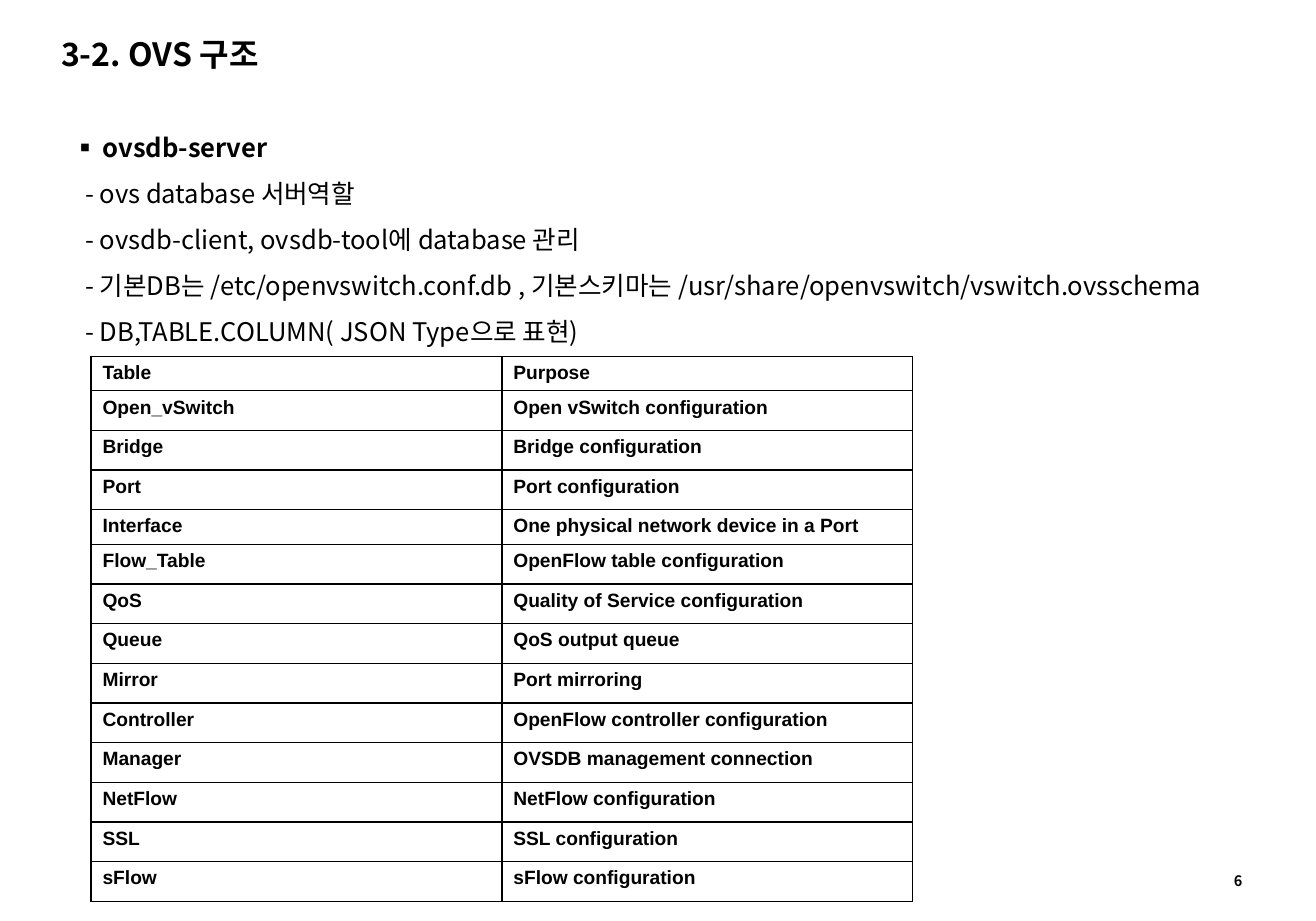
from lxml import etree
from pptx import Presentation
from pptx.dml.color import RGBColor
from pptx.enum.text import MSO_ANCHOR, MSO_AUTO_SIZE, PP_ALIGN
from pptx.oxml.ns import qn
from pptx.util import Inches, Pt

TOP, MIDDLE = MSO_ANCHOR.TOP, MSO_ANCHOR.MIDDLE
LEFT = PP_ALIGN.LEFT
NO_AUTOFIT = MSO_AUTO_SIZE.NONE

COLORS = {"ink": "000000", "paper": "FFFFFF"}
KOREAN, LATIN = "Noto Sans CJK KR", "Arial"

TITLE = "3-2. OVS 구조"
HEADING = "ovsdb-server"
DETAILS = [
    "- ovs database 서버역할",
    "- ovsdb-client, ovsdb-tool에 database 관리",
    "- 기본DB는 /etc/openvswitch.conf.db , 기본스키마는 "
    "/usr/share/openvswitch/vswitch.ovsschema",
    "- DB,TABLE.COLUMN( JSON Type으로 표현)",
]
TABLE_ROWS = [
    ("Table", "Purpose"),
    ("Open_vSwitch", "Open vSwitch configuration"),
    ("Bridge", "Bridge configuration"),
    ("Port", "Port configuration"),
    ("Interface", "One physical network device in a Port"),
    ("Flow_Table", "OpenFlow table configuration"),
    ("QoS", "Quality of Service configuration"),
    ("Queue", "QoS output queue"),
    ("Mirror", "Port mirroring"),
    ("Controller", "OpenFlow controller configuration"),
    ("Manager", "OVSDB management connection"),
    ("NetFlow", "NetFlow configuration"),
    ("SSL", "SSL configuration"),
    ("sFlow", "sFlow configuration"),
]
SHORT_ROWS = {"Table", "Interface"}
TABLE_HEIGHT, SHORT_HEIGHT = 4.73, 0.3


def color(name):
    return RGBColor.from_string(COLORS[name])


def place(shape, left, top, width, height):
    edges = {"left": left, "top": top, "width": width, "height": height}
    for name, value in edges.items():
        setattr(shape, name, Inches(value))


def format_frame(frame, anchor=TOP, **margins):
    values = {"word_wrap": True, "auto_size": NO_AUTOFIT,
              "vertical_anchor": anchor}
    values.update({name: Inches(size) for name, size in margins.items()})
    for name, value in values.items():
        setattr(frame, name, value)


def write(para, text, size, bold=False, face=KOREAN):
    """Add one formatted span, with the same face for Korean text."""
    span = para.add_run()
    span.text = text
    for name, value in {"size": Pt(size), "bold": bold, "name": face}.items():
        setattr(span.font, name, value)
    span.font.color.rgb = color("ink")
    east_asian = etree.SubElement(span.font._element, qn("a:ea"))
    east_asian.set("typeface", face)
    para.alignment = LEFT


def set_bullet(para, symbol=None, left=0.0, indent=0.0):
    properties = para._p.get_or_add_pPr()
    properties.set("marL", str(Inches(left)))
    properties.set("indent", str(Inches(indent)))
    if symbol is None:
        etree.SubElement(properties, qn("a:buNone"))
        return
    etree.SubElement(properties, qn("a:buSzPct")).set("val", "120000")
    etree.SubElement(properties, qn("a:buFont")).set("typeface", LATIN)
    etree.SubElement(properties, qn("a:buChar")).set("char", symbol)


def add_title(page):
    title = page.shapes.title
    place(title, 0.43, 0.27, 5.79, 0.39)
    format_frame(title.text_frame, MIDDLE, margin_top=0, margin_bottom=0)
    write(title.text_frame.paragraphs[0], TITLE, 20, bold=True)


def add_body(page):
    body = page.placeholders[1]
    place(body, 0.59, 0.96, 10.32, 2.12)
    frame = body.text_frame
    format_frame(frame, margin_right=0)
    for index, text in enumerate([HEADING] + DETAILS):
        is_heading = index == 0
        para = frame.paragraphs[0] if is_heading else frame.add_paragraph()
        if is_heading:
            set_bullet(para, "▪", 0.2, -0.2)
        else:
            set_bullet(para, left=0.05)
        para.line_spacing = Pt(28.75)
        para.space_before = Pt(0)
        write(para, text, 16, bold=is_heading)


def add_borders(cell):
    properties = cell._tc.get_or_add_tcPr()
    for side in ("lnL", "lnR", "lnT", "lnB"):
        line = etree.SubElement(properties, qn("a:" + side))
        line.set("w", str(Pt(1)))
        fill = etree.SubElement(line, qn("a:solidFill"))
        etree.SubElement(fill, qn("a:srgbClr")).set("val", COLORS["ink"])


def add_purpose_table(page):
    tall_count = len(TABLE_ROWS) - len(SHORT_ROWS)
    tall_height = (TABLE_HEIGHT - len(SHORT_ROWS) * SHORT_HEIGHT) / tall_count
    table = page.shapes.add_table(
        len(TABLE_ROWS), 2, Inches(0.79), Inches(3.09),
        Inches(7.13), Inches(TABLE_HEIGHT)).table
    table.first_row = False
    table.horz_banding = False
    for row, texts in zip(table.rows, TABLE_ROWS):
        is_short = texts[0] in SHORT_ROWS
        row.height = Inches(SHORT_HEIGHT if is_short else tall_height)
        for cell, text in zip(row.cells, texts):
            add_borders(cell)
            cell.fill.solid()
            cell.fill.fore_color.rgb = color("paper")
            cell.vertical_anchor = TOP
            write(cell.text_frame.paragraphs[0], text, 12, True, LATIN)


def add_page_number(page):
    box = page.shapes.add_textbox(
        Inches(10.61), Inches(7.52), Inches(0.84 - 0.05), Inches(0.25))
    format_frame(box.text_frame)
    write(box.text_frame.paragraphs[0], "6", 9, bold=True)


def main():
    deck = Presentation()
    deck.slide_width, deck.slide_height = Inches(11.42), Inches(7.99)
    page = deck.slides.add_slide(deck.slide_layouts[1])

    # Heading and notes on the database server
    add_title(page)
    add_body(page)

    # Database tables and their purposes
    add_purpose_table(page)

    # Footer
    add_page_number(page)
    deck.save("out.pptx")


if __name__ == "__main__":
    main()
